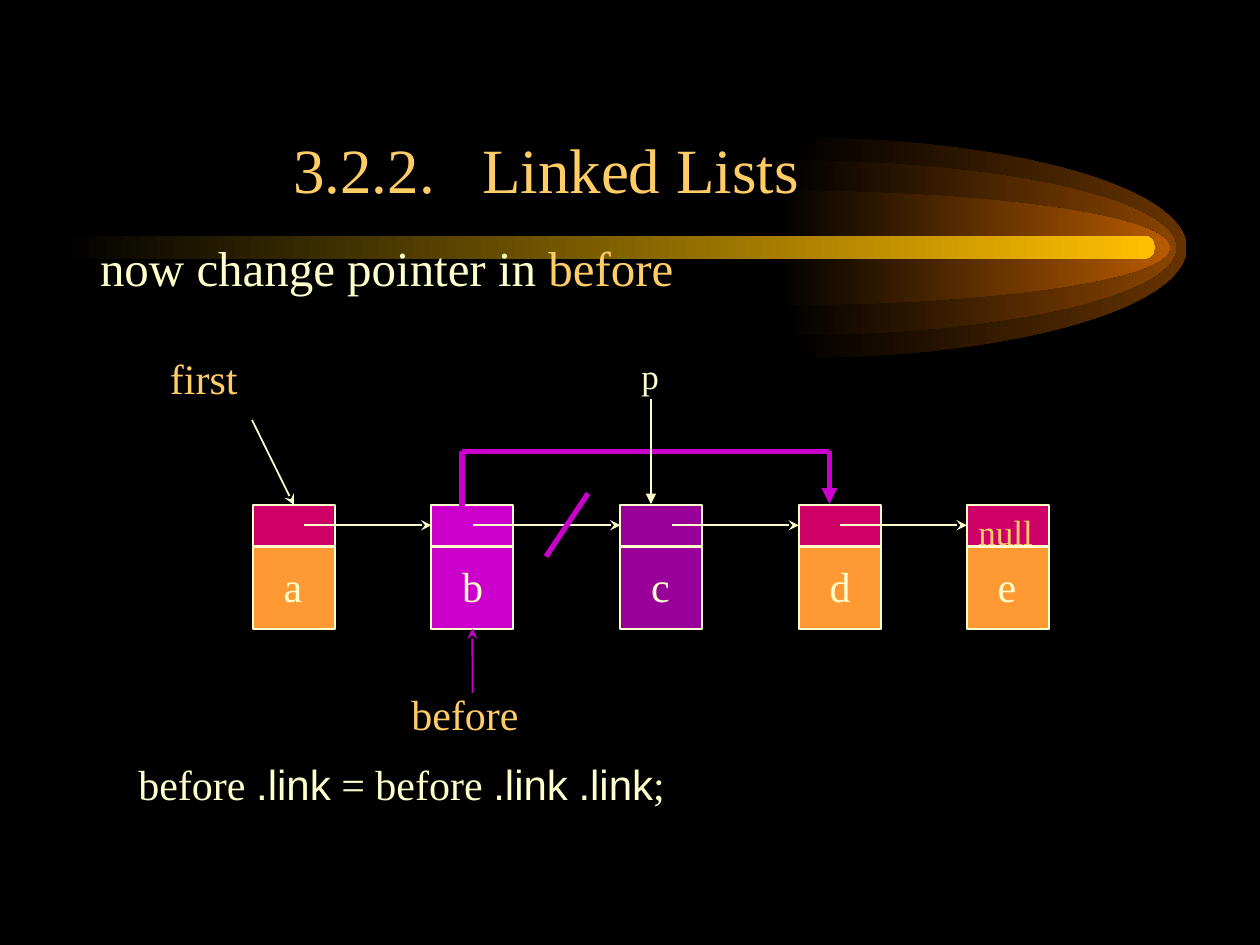
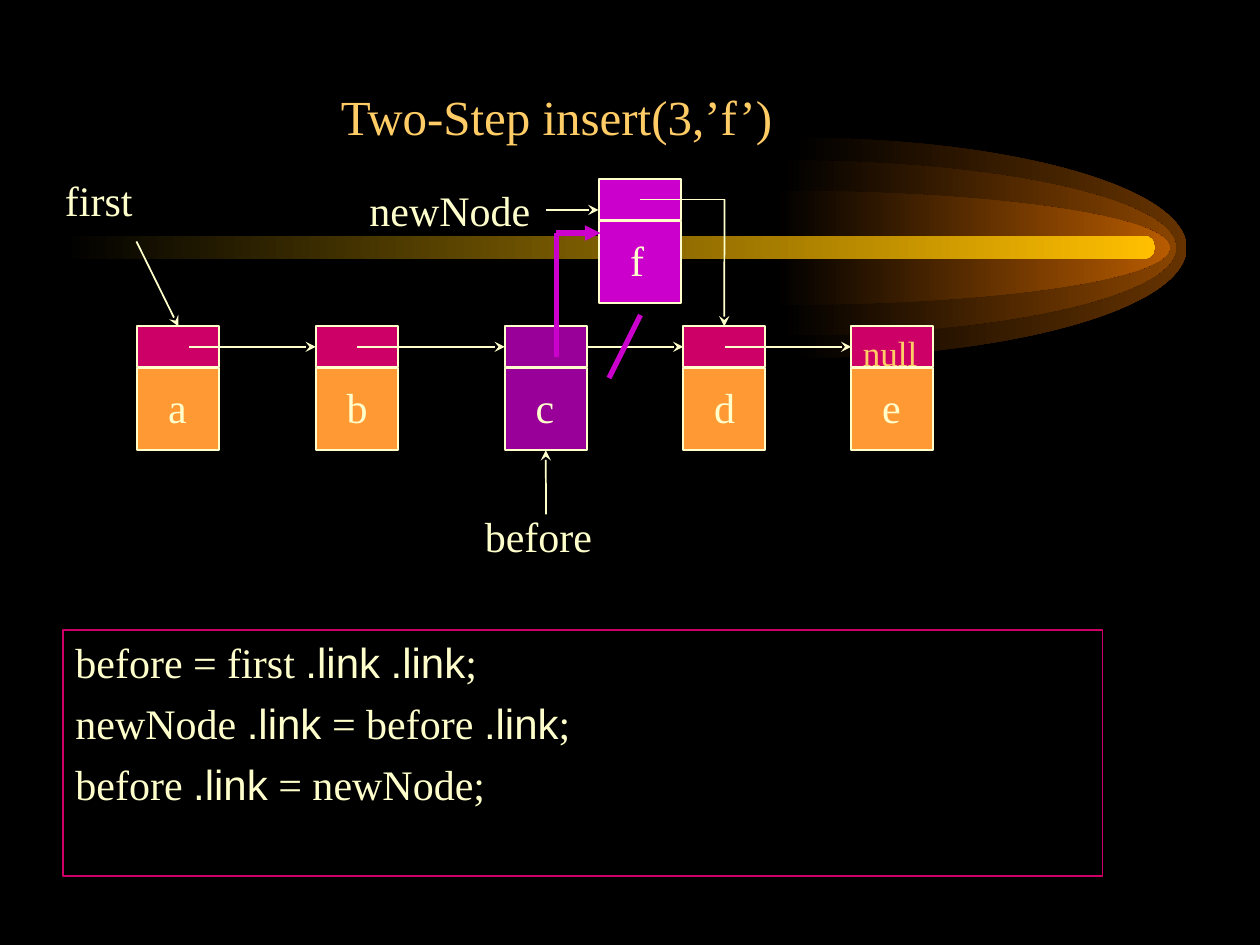
import pptx
import pptx.util
import pptx.dml.color
import pptx.enum.shapes
import pptx.enum.text
import pptx.oxml
import pptx.oxml.ns
from dataclasses import dataclass

SHAPE = pptx.enum.shapes.MSO_SHAPE
ANCHOR = pptx.enum.text.MSO_ANCHOR
ALIGN = pptx.enum.text.PP_ALIGN
TOP, LEFT, BOTTOM, RIGHT = range(4)


@dataclass(frozen=True)
class Theme:
    back: str = "000000"
    cream: str = "FFFFCC"
    gold: str = "FFCC66"
    orange: str = "FF9933"
    crimson: str = "CC0066"
    magenta: str = "CC00CC"
    purple: str = "990099"
    comet: tuple = ("663300", "894400", "B75B00")
    streak: str = "FFBF00"
    font: str = "Times New Roman"
    code_font: str = "Arial"
    title: int = 36
    lead: int = 28
    body: int = 24
    small: int = 20
    thin: int = 1
    thick: int = 3


T = Theme()
PLAIN = (T.crimson, T.orange)  # link cell, data cell
BRIGHT = (T.magenta, T.magenta)
DARK = (T.purple, T.purple)

# Grid: 120 columns by 90 rows on a 10 x 7.5 inch slide
COLS, ROWS = 120, 90
NODE_STARTS = (0, 17, 35, 52, 68)
ARROW_STARTS = (5, 21, 40, 56)
INSET, CELL_W, LINK_H, DATA_TOP = 0.08, 7.8, 3.9, 4


def u(cells):
    return pptx.util.Inches(cells / 12)


def rgb(value):
    return pptx.dml.color.RGBColor.from_string(value)


def element(tag, attributes=""):
    return pptx.oxml.parse_xml(
        f'<a:{tag} {pptx.oxml.ns.nsdecls("a")} {attributes}/>')


# Text
def write(p, text, size=T.body, color=T.cream, font=T.font):
    r = p.add_run()
    r.text = text
    r.font.size = pptx.util.Pt(size)
    r.font.name = font
    r.font.color.rgb = rgb(color)


def write_code(p, text):
    """Set each .link in the code font and the rest in the text font."""
    for i, part in enumerate(text.split(".link")):
        if i:
            write(p, ".link", font=T.code_font)
        if part:
            write(p, part)


def text_box(s, x, y, w, h, wrap=True):
    tf = s.shapes.add_textbox(u(x), u(y), u(w), u(h)).text_frame
    tf.word_wrap = wrap
    return tf.paragraphs[0]


def label(s, x, y, text, w=22, h=6, wrap=True, **fmt):
    write(text_box(s, x, y, w, h, wrap), text, **fmt)


def set_title(s, x, y, text, size, tab=None):
    sp = s.shapes.title
    sp.left, sp.top, sp.width, sp.height = u(x), u(y), u(98), u(10)
    tf = sp.text_frame
    tf.vertical_anchor = ANCHOR.MIDDLE
    tf.auto_size = pptx.enum.text.MSO_AUTO_SIZE.NONE
    p = tf.paragraphs[0]
    p.alignment = ALIGN.CENTER
    if tab:
        stops = element("tabLst")
        stops.append(element("tab", f'pos="{u(tab)}" algn="l"'))
        p._p.get_or_add_pPr().append(stops)
    write(p, text, size=size, color=T.gold)


# Shapes and lines
def rect(s, x, y, w, h, fill=None, line=T.cream):
    sp = s.shapes.add_shape(SHAPE.RECTANGLE, u(x), u(y), u(w), u(h))
    sp.shadow.inherit = False
    if fill:
        sp.fill.solid()
        sp.fill.fore_color.rgb = rgb(fill)
    else:
        sp.fill.background()
    sp.line.color.rgb = rgb(line)
    sp.line.width = pptx.util.Pt(T.thin)
    return sp


def route(s, *points, color=T.cream, width=T.thin, head="stealth",
          begin=None, end=None):
    """Straight segments through the points, with a head on the last one."""
    for (x1, y1), (x2, y2) in zip(points, points[1:]):
        ln = s.shapes.add_connector(
            pptx.enum.shapes.MSO_CONNECTOR.STRAIGHT, u(x1), u(y1), u(x2), u(y2))
        ln.line.color.rgb = rgb(color)
        ln.line.width = pptx.util.Pt(width)
        ln.element.spPr.append(element("effectLst"))
        if begin and (x1, y1) == points[0]:
            ln.begin_connect(*begin)
    if end:
        ln.end_connect(*end)
    if head:
        ln.line._get_or_add_ln().append(element("tailEnd", f'type="{head}"'))


# Shared comet band, placed on the layout
def fade(sp, color):
    sp.shadow.inherit = False
    sp.line.fill.background()
    sp.fill.gradient()
    sp.fill.gradient_angle = 0
    for stop, value in zip(sp.fill.gradient_stops, (T.back, color)):
        stop.color.rgb = rgb(value)


def half_ellipse(s, x, mid, w, h):
    """Right half of an ellipse: two curves, then back to the centre."""
    shares = ((0, -1), (0.55, -1), (1, -0.55), (1, 0),
              (1, 0.55), (0.55, 1), (0, 1), (0, 0))
    points = [(u(x + w * a), u(mid + h / 2 * b)) for a, b in shares]
    builder = s.shapes.build_freeform(*points[0], scale=1.0)
    builder.add_line_segments(points[1:], close=True)
    sp = builder.convert_to_shape()
    steps = list(sp.element.iter(pptx.oxml.ns.qn("a:lnTo")))
    for trio in (steps[:3], steps[3:6]):
        curve = element("cubicBezTo")
        trio[0].addprevious(curve)
        for step in trio:
            curve.append(step[0])
            step.getparent().remove(step)
    return sp


def comet_band(s, layout, x, y):
    parts = []
    for dx, h, color in zip((69.5, 68.5, 67.9), (21, 16.7, 10.9), T.comet):
        parts.append(half_ellipse(s, x + dx, y, 37.5, h))
        fade(parts[-1], color)
    streak = s.shapes.add_shape(
        SHAPE.ROUNDED_RECTANGLE, u(x), u(y - 1.15), u(104), u(2.2))
    streak.adjustments[0] = 0.5
    fade(streak, T.streak)
    front = layout.shapes[0].element
    for sp in parts + [streak]:
        front.addprevious(sp.element)


# Linked list
def node(s, x, y, name, colors):
    x, y = x + INSET, y + INSET
    data = rect(s, x, y + DATA_TOP, CELL_W, CELL_W, colors[1])
    link = rect(s, x, y, CELL_W, LINK_H, colors[0])
    label(s, x + 1.75, y + DATA_TOP + 0.7, name, w=4.3, wrap=False)
    return link, data


def chain(s, x, y, styles, edge_start=None):
    """Five nodes in a row; edge_start names the node whose arrow leaves its side."""
    nodes = {name: node(s, x + dx, y, name, styles.get(name, PLAIN))
             for name, dx in zip("abcde", NODE_STARTS)}
    mid = y + INSET + LINK_H / 2
    for name, target, dx, end_dx in zip("abcd", "bcde", ARROW_STARTS, NODE_STARTS[1:]):
        begin = (nodes[name][0], RIGHT) if name == edge_start else None
        route(s, (x + dx, mid), (x + end_dx, mid),
              begin=begin, end=(nodes[target][0], LEFT))
    label(s, x + NODE_STARTS[-1], y, "null", w=8, h=5.2,
          size=T.small, color=T.gold)
    route(s, (x, y - 8), (x + 4, y), end=(nodes["a"][0], TOP))
    return nodes


def before_marker(s, x, y, data, text_color, arrow_color):
    """Label and arrow under a node, up to the middle of its lower side."""
    label(s, x - 7, y + 5, "before", w=24, color=text_color)
    route(s, (x, y + 6), (x, y), color=arrow_color, end=(data, BOTTOM))


# Slides
def delete_slide(s, x=24, y=48):
    set_title(s, 3, 11, "3.2.2.\tLinked Lists", T.title, tab=18)
    p = text_box(s, 8.35, 22, 95, 7)
    write(p, "now change pointer in ", size=T.lead)
    write(p, "before", size=T.lead, color=T.gold)

    nodes = chain(s, x, y, {"b": BRIGHT, "c": DARK})
    label(s, x - 9, y - 15, "first", color=T.gold)
    before_marker(s, x + 21, y + 12, nodes["b"][1], T.gold, T.magenta)
    # New link that skips c
    route(s, (x + 20, y + 2), (x + 20, y - 5), (x + 55, y - 5), (x + 55, y),
          color=T.magenta, width=T.thick, head="triangle")
    route(s, (x + 32, y - 1), (x + 28, y + 5),
          color=T.magenta, width=T.thick, head=None)
    label(s, x + 35.9, y - 14.8, "p", w=4, h=5.3, wrap=False, size=T.small)
    route(s, (x + 38, y - 10), (x + 38, y), head="triangle")
    write_code(text_box(s, 12, 71.65, 102, 6),
               "before .link = before .link .link;")


def insert_slide(s, x=13, y=31):
    set_title(s, 4, 6, "Two-Step insert(3,’f’)", T.lead)
    nodes = chain(s, x, y, {"c": DARK}, edge_start="c")
    label(s, x - 8, y - 15, "first")
    before_marker(s, x + 39, y + 12, nodes["c"][1], T.cream, T.cream)
    # New node f and its links
    node(s, x + 44, y - 14, "f", BRIGHT)
    route(s, (x + 48, y - 12), (x + 56, y - 12), (x + 56, y),
          end=(nodes["d"][0], TOP))
    label(s, x + 21, y - 14, "newNode", w=20)
    route(s, (x + 39, y - 11), (x + 44, y - 11))
    route(s, (x + 48, y - 1), (x + 45, y + 5),
          color=T.magenta, width=T.thick, head=None)
    route(s, (x + 40, y + 3), (x + 40, y - 8.8), (x + 44.2, y - 8.8),
          color=T.magenta, width=T.thick, head="triangle")
    code_panel(s, 6, 60, 99, 23.4, (
        "before = first .link .link;",
        "newNode .link = before .link;",
        "before .link = newNode;"))


def code_panel(s, x, y, w, h, lines):
    tf = rect(s, x, y, w, h, line=T.crimson).text_frame
    tf.word_wrap = True
    tf.vertical_anchor = ANCHOR.TOP
    for i, text in enumerate(lines):
        p = tf.add_paragraph() if i else tf.paragraphs[0]
        p.alignment = ALIGN.LEFT
        if i:
            p.space_before = pptx.util.Pt(6)
        write_code(p, text)


def main():
    prs = pptx.Presentation()
    prs.slide_width, prs.slide_height = u(COLS), u(ROWS)
    back = prs.slide_master.background.fill
    back.solid()
    back.fore_color.rgb = rgb(T.back)
    layout = prs.slide_layouts[5]
    slides = [prs.slides.add_slide(layout) for _ in range(2)]
    comet_band(slides[0], layout, 6, 23.6)
    delete_slide(slides[0])
    insert_slide(slides[1])
    prs.save("out.pptx")


if __name__ == "__main__":
    main()
